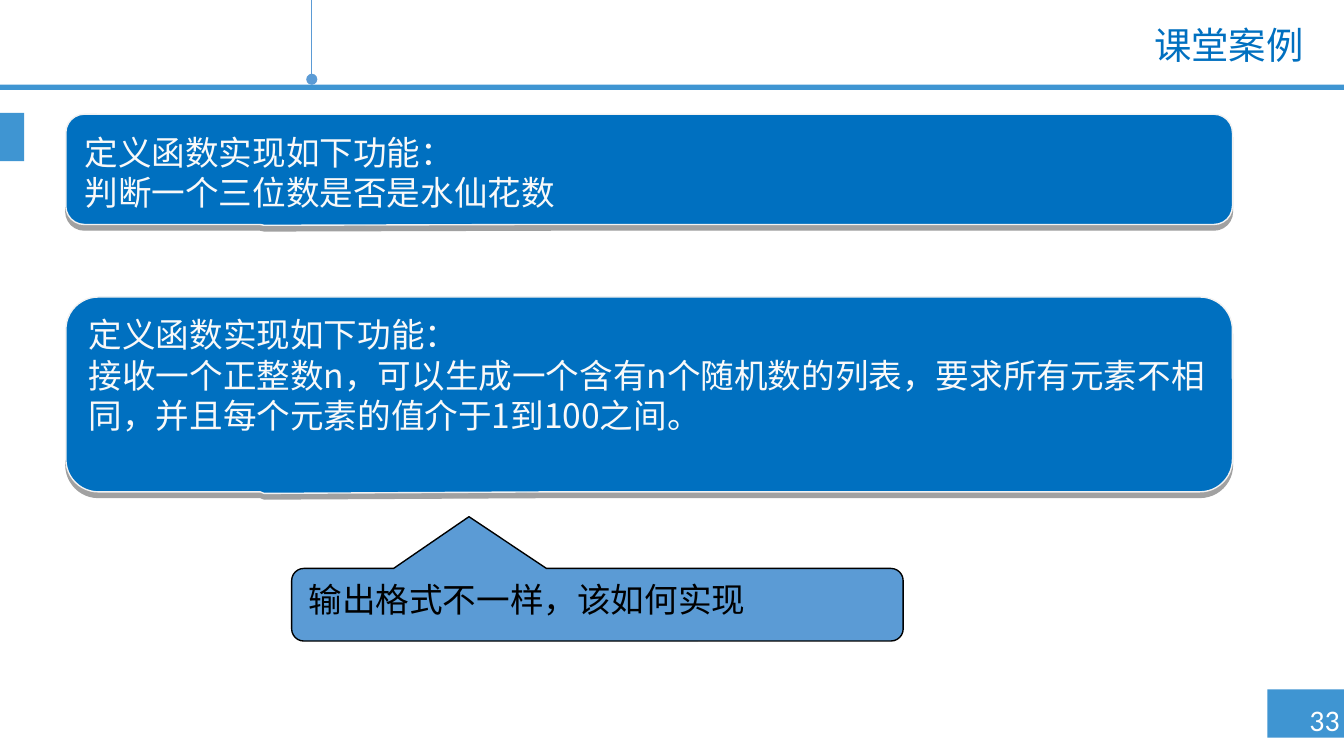
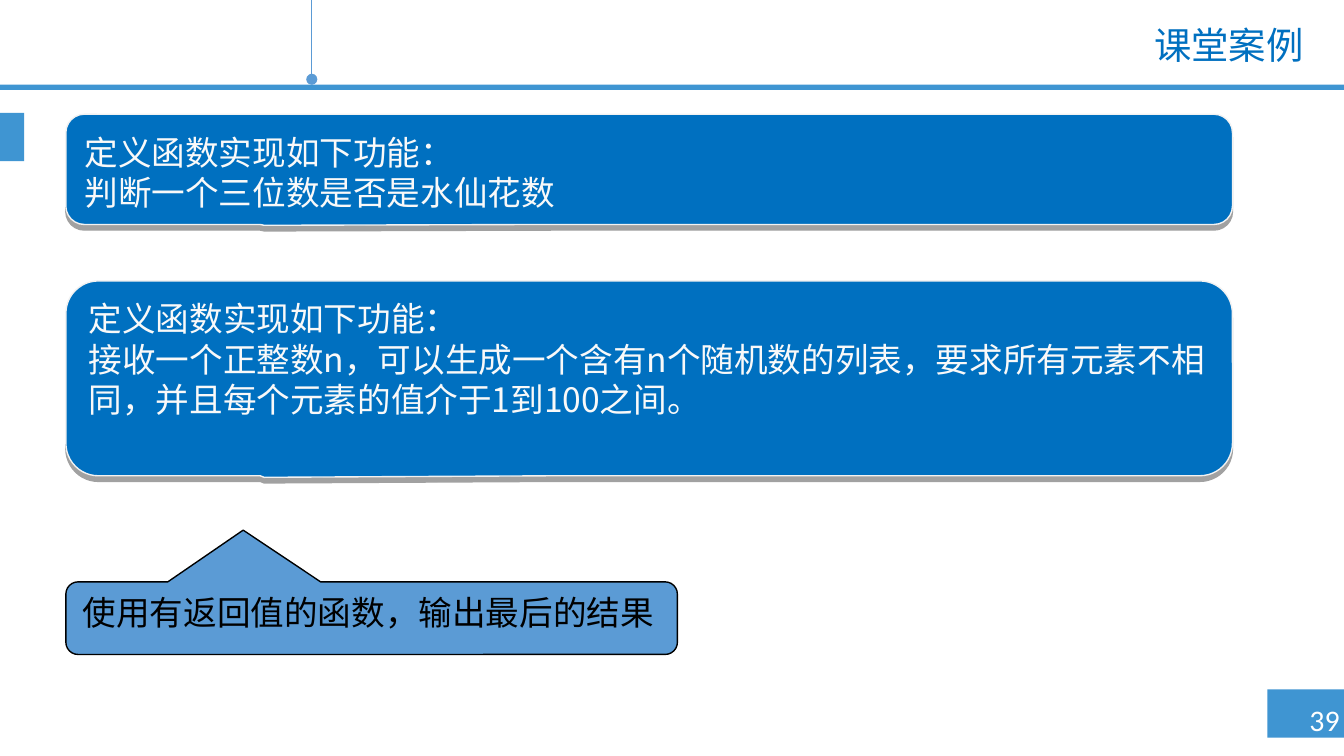
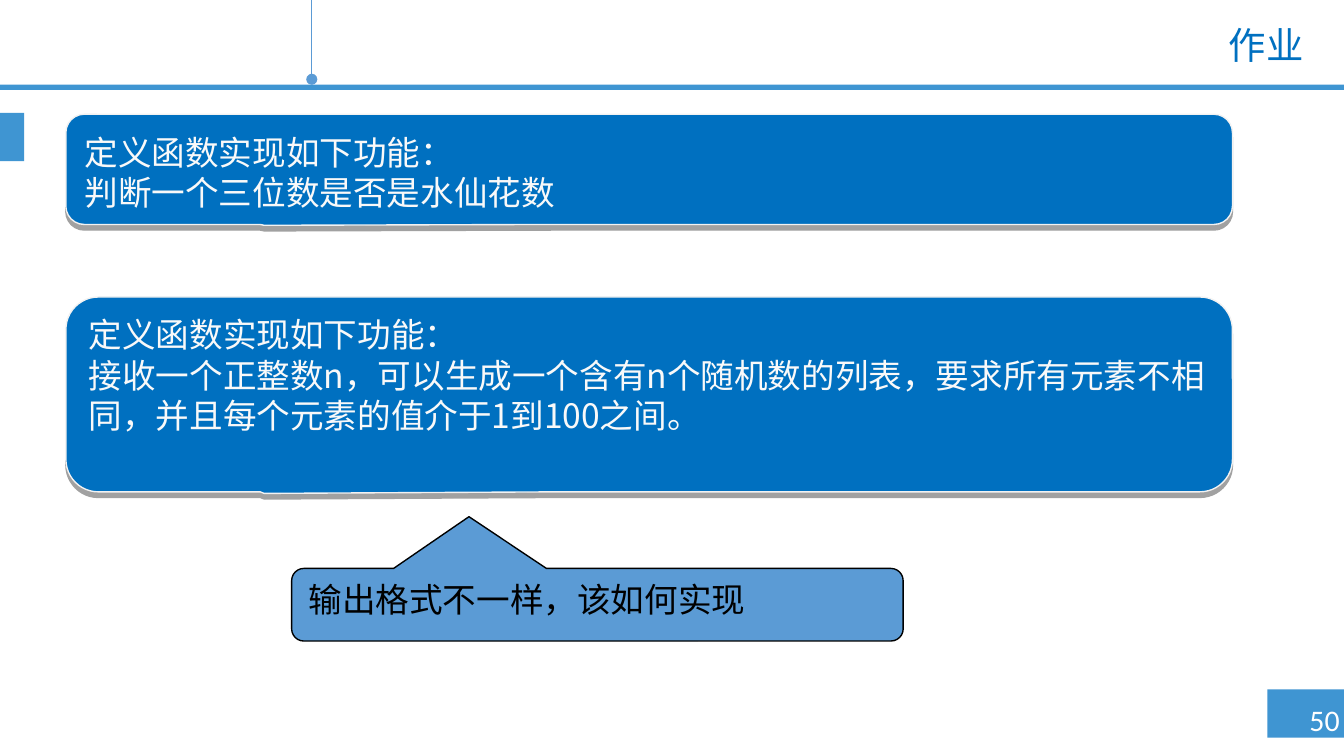
"""Build three exercise slides on defining functions."""
from lxml.etree import SubElement
from pptx import Presentation
from pptx.dml.color import RGBColor
from pptx.enum.shapes import MSO_CONNECTOR, MSO_SHAPE
from pptx.enum.text import MSO_ANCHOR as Anchor, MSO_AUTO_SIZE as AutoSize, PP_ALIGN as Align
from pptx.oxml import parse_xml
from pptx.oxml.ns import nsdecls, qn
from pptx.util import Inches, Pt

THEME = {
    "band": "3F95D2", "accent": "5B9BD5", "task": "0070C0", "edge": "F2F2F2",
    "task_text": "F9F9F9", "white": "FFFFFF", "black": "000000",
    "title_size": 20, "body_size": 18, "number_size": 16, "line_width": 0.75,
    "title_font": "Lato", "task_font": "Noto Sans CJK SC",
    "hint_font": "Arial", "number_font": "Calibri",
}
BANDS = [(9.43, 5.13, 0.57, 0.36), (0, 0.63, 10, 0.04), (0, 0.84, 0.18, 0.36)]
TASK_LEFT, TASK_WIDTH = 0.49, 8.68
TASK_POINTER, HINT_POINTER = (-0.33, 0.508, 0.167), (-0.21, -1.213, 0.167)
TASK_INTRO = "定义函数实现如下功能："
NARCISSISTIC_TASK = "判断一个三位数是否是水仙花数"
RANDOM_LIST_TASK = "接收一个正整数n，可以生成一个含有n个随机数的列表，要求所有元素不相同，并且每个元素的值介于1到100之间。"
FORMAT_HINT = "输出格式不一样，该如何实现"
RETURN_HINT = "使用有返回值的函数，输出最后的结果"
SLIDES = [
    {"title": "课堂案例", "number": 33, "list_top": 2.21, "hint": FORMAT_HINT, "hint_at": (2.17, 4.23)},
    {"title": "课堂案例", "number": 39, "list_top": 2.09, "hint": RETURN_HINT, "hint_at": (0.49, 4.33)},
    {"title": "作业", "number": 50, "list_top": 2.21, "hint": FORMAT_HINT, "hint_at": (2.17, 4.23)},
]


def write(shape, lines, role, size, color, align=Align.LEFT, **frame_format):
    """Fill a shape with paragraphs in one style."""
    frame = shape.text_frame
    for name, value in {"word_wrap": True, "auto_size": AutoSize.NONE, **frame_format}.items():
        setattr(frame, name, value)
    frame.text = "\n".join(lines)
    for paragraph in frame.paragraphs:
        paragraph.alignment = align
        for run in paragraph.runs:
            run.font.name, run.font.size = THEME[role], Pt(THEME[size])
            run.font.color.rgb = RGBColor.from_string(THEME[color])
            east_asian = SubElement(run.font._element, qn("a:ea"))
            east_asian.set("typeface", THEME["task_font"])


def add_block(slide, preset, bounds, fill, edge=None, pointer=()):
    """Add a filled preset shape, outlined when an edge colour is given."""
    shape = slide.shapes.add_shape(preset, *map(Inches, bounds))
    shape.shadow.inherit = False
    shape.fill.solid()
    shape.fill.fore_color.rgb = RGBColor.from_string(THEME[fill])
    if edge:
        shape.line.color.rgb = RGBColor.from_string(THEME[edge])
        shape.line.width = Pt(THEME["line_width"])
    else:
        shape.line.fill.background()
    for index, value in enumerate(pointer):
        shape.adjustments[index] = value
    return shape


presentation = Presentation()
presentation.slide_width = Inches(10)
presentation.slide_height = presentation.slide_width * 9 // 16
title_only = presentation.slide_layouts[5]

for content in SLIDES:
    slide = presentation.slides.add_slide(title_only)

    for bounds in BANDS:
        add_block(slide, MSO_SHAPE.RECTANGLE, bounds, "band")
    number = slide.shapes.add_textbox(Inches(9.62), Inches(5.17), Inches(0.52), Inches(0.37))
    write(number, [f"{content['number']} "], "number_font", "number_size", "white",
          Align.CENTER, word_wrap=False, auto_size=AutoSize.SHAPE_TO_FIT_TEXT)

    pendulum = slide.shapes.add_connector(
        MSO_CONNECTOR.STRAIGHT, Inches(2.32), 0, Inches(2.32), Inches(0.59))
    pendulum.line.color.rgb = RGBColor.from_string(THEME["accent"])
    pendulum.line.width = Pt(THEME["line_width"])
    SubElement(pendulum.line._get_or_add_ln(), qn("a:tailEnd")).set("type", "oval")
    SubElement(pendulum._element.spPr, qn("a:effectLst"))

    title = slide.shapes.title
    placement = {"left": 2.4, "top": 0.15, "width": 7.4, "height": 0.4}
    for name, value in placement.items():
        setattr(title, name, Inches(value))
    write(title, [content["title"]], "title_font", "title_size", "task",
          Align.RIGHT, vertical_anchor=Anchor.MIDDLE)
    title.text_frame.paragraphs[0].line_spacing = 0.9

    tasks = [(0.85, 0.82, NARCISSISTIC_TASK, 0.05), (content["list_top"], 1.45, RANDOM_LIST_TASK, 0.35)]
    for top, height, task, bottom_margin in tasks:
        card = add_block(slide, MSO_SHAPE.ROUNDED_RECTANGULAR_CALLOUT,
                         (TASK_LEFT, top, TASK_WIDTH, height), "task", "edge", TASK_POINTER)
        write(card, [TASK_INTRO, task], "task_font", "body_size", "task_text",
              vertical_anchor=Anchor.BOTTOM, margin_bottom=Inches(bottom_margin))
        card._element.spPr.find(qn("a:effectLst")).append(parse_xml(
            f'<a:outerShdw {nsdecls("a")} blurRad="0" dist="{Pt(3)}" dir="5400000" rotWithShape="0">'
            f'<a:srgbClr val="{THEME["black"]}"><a:alpha val="37000"/></a:srgbClr></a:outerShdw>'))

    hint = add_block(slide, MSO_SHAPE.ROUNDED_RECTANGULAR_CALLOUT,
                     (*content["hint_at"], 4.55, 0.54), "accent", "black", HINT_POINTER)
    write(hint, [content["hint"]], "hint_font", "body_size", "black", vertical_anchor=Anchor.TOP)

presentation.save("out.pptx")
